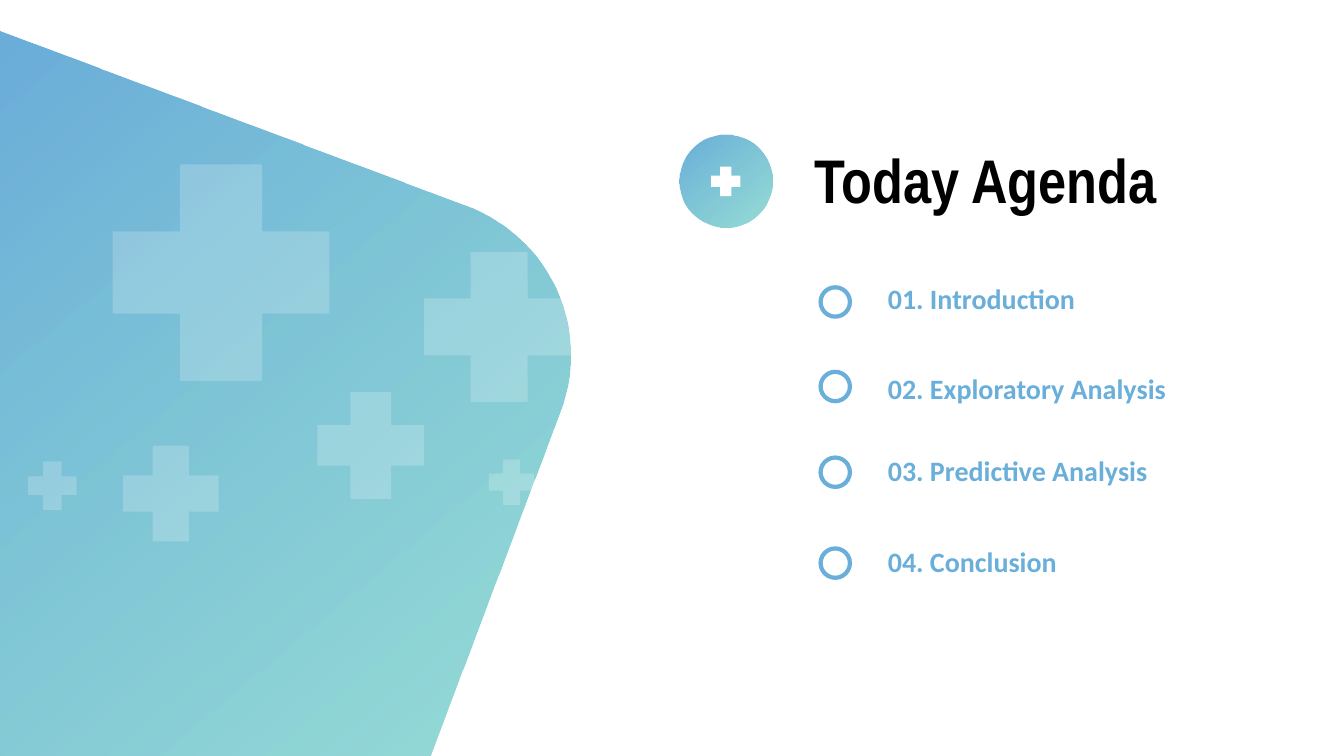
from lxml import etree
from pptx import Presentation
from pptx.dml.color import RGBColor
from pptx.enum.shapes import MSO_SHAPE
from pptx.enum.text import MSO_ANCHOR, MSO_AUTO_SIZE, PP_ALIGN
from pptx.oxml.ns import qn
from pptx.util import Cm, Pt

BLUE = RGBColor(0x6A, 0xAE, 0xDA)
TEAL = RGBColor(0x66, 0xCA, 0xC5)
WHITE = RGBColor(0xFF, 0xFF, 0xFF)
BLACK = RGBColor(0, 0, 0)
CROSS, OVAL = MSO_SHAPE.CROSS, MSO_SHAPE.OVAL
LEFT = PP_ALIGN.LEFT
TOP, MIDDLE = MSO_ANCHOR.TOP, MSO_ANCHOR.MIDDLE
NO_AUTOFIT = MSO_AUTO_SIZE.NONE

SLIDE_W, SLIDE_H = 33.87, 19.05
LINE_H = 0.86
RING = 0.74
CROSSES = [(2.84, 3.38, 5.46), (10.69, 5.59, 3.78), (8, 9.12, 2.69),
           (3.1, 10.47, 2.41), (12.32, 10.82, 1.14), (0.71, 10.87, 1.22)]
AGENDA = [("01. Introduction", 0, 0.28),
          ("02. Exploratory Analysis", 2.29, 2.41),
          ("03. Predictive Analysis", 4.37, 4.57),
          ("04. Conclusion", 6.68, 6.86)]


def set_alpha(color_parent, percent):
    """Make the RGB colour inside an element partly transparent."""
    color = color_parent.find(".//" + qn("a:srgbClr"))
    etree.SubElement(color, qn("a:alpha")).set("val", str(percent * 1000))


def fill_gradient(sp):
    """Fill a shape with the blue to teal gradient and drop its outline."""
    sp.shadow.inherit = False
    sp.line.fill.background()
    sp.fill.gradient()
    sp.fill.gradient_angle = 310
    start, end = sp.fill.gradient_stops
    start.color.rgb, end.color.rgb = BLUE, TEAL
    start.position, end.position = 0, 1
    stops = sp._element.spPr.findall(".//" + qn("a:gs"))
    set_alpha(stops[-1], 68)


def add_shape(s, kind, x, y, size, line=None):
    """Add a white shape of equal width and height, in cm."""
    sp = s.shapes.add_shape(kind, Cm(x), Cm(y), Cm(size), Cm(size))
    sp.shadow.inherit = False
    sp.fill.solid()
    sp.fill.fore_color.rgb = WHITE
    if line is None:
        sp.line.fill.background()
    else:
        sp.line.color.rgb = line
        sp.line.width = Pt(3)
    return sp


def add_cross(s, x, y, size):
    """Add a white cross."""
    sp = add_shape(s, CROSS, x, y, size)
    sp.adjustments[0] = 0.31
    return sp


def write(p, text, font="Calibri", size=20, color=BLUE, before=0):
    """Write one bold left-aligned paragraph without a bullet."""
    pPr = p._p.get_or_add_pPr()
    pPr.set("marL", "0")
    pPr.set("indent", "0")
    etree.SubElement(pPr, qn("a:buNone"))
    p.alignment = LEFT
    p.space_before = Cm(before)
    r = p.add_run()
    r.text = text
    r.font.name = font
    r.font.size = Pt(size)
    r.font.bold = True
    r.font.color.rgb = color


def place(sp, x, y, w, h, anchor):
    """Move a placeholder to a box in cm and return its text frame."""
    sp.left, sp.top, sp.width, sp.height = Cm(x), Cm(y), Cm(w), Cm(h)
    tf = sp.text_frame
    tf.auto_size = NO_AUTOFIT
    tf.word_wrap = True
    tf.vertical_anchor = anchor
    return tf


def bezier(p0, p1, p2, p3, steps=40):
    """Return points along a cubic curve, without its start."""
    return [tuple((1 - t) ** 3 * a + 3 * (1 - t) ** 2 * t * b
                  + 3 * (1 - t) * t ** 2 * c + t ** 3 * d
                  for a, b, c, d in zip(p0, p1, p2, p3))
            for t in (i / steps for i in range(1, steps + 1))]


def add_panel(s, x, y, h):
    """Draw the gradient panel with its rounded corner and pale crosses."""
    corner = [(11.76, 4.42), (13.84, 5.21), (14.91, 7.52), (14.12, 9.6)]
    outline = [corner[0], *bezier(*corner), (10.85, h), (0, h)]
    builder = s.shapes.build_freeform(Cm(x), Cm(y))
    builder.add_line_segments([(Cm(x + dx), Cm(y + dy)) for dx, dy in outline])
    fill_gradient(builder.convert_to_shape())
    for dx, dy, size in CROSSES:
        sp = add_cross(s, x + dx, y + dy, size)
        set_alpha(sp._element.spPr, 20)


def add_heading(s, x, y, w, size):
    """Place the round cross icon and the slide title beside it."""
    fill_gradient(add_shape(s, OVAL, x, y, size))
    icon = 0.74
    inset = (size - icon) / 2
    add_cross(s, x + inset, y + inset, icon)
    title_x = 3.15
    tf = place(s.shapes.title, x + title_x, y + 0.03, w - title_x, 2.13, MIDDLE)
    write(tf.paragraphs[0], "Today Agenda", font="Arial Narrow", size=44, color=BLACK)


def add_agenda(s, x, y, w, h):
    """Place the agenda list with a ring in front of each entry."""
    label_x = 1.44
    tf = place(s.placeholders[1], x + label_x, y, w - label_x, h, TOP)
    bottom = 0
    for i, (text, label_y, ring_y) in enumerate(AGENDA):
        p = tf.add_paragraph() if i else tf.paragraphs[0]
        write(p, text, before=label_y - bottom)
        bottom = label_y + LINE_H
        add_shape(s, OVAL, x, y + ring_y, RING, line=BLUE)


def main():
    """Build the agenda slide."""
    prs = Presentation()
    prs.slide_width, prs.slide_height = Cm(SLIDE_W), Cm(SLIDE_H)
    s = prs.slides.add_slide(prs.slide_layouts[1])
    add_panel(s, 0, 0.76, SLIDE_H - 0.76)
    add_heading(s, 17.12, 3.4, 14.63, 2.34)
    add_agenda(s, 20.68, 6.96, 11.07, 7.8)
    prs.save("out.pptx")


if __name__ == "__main__":
    main()
